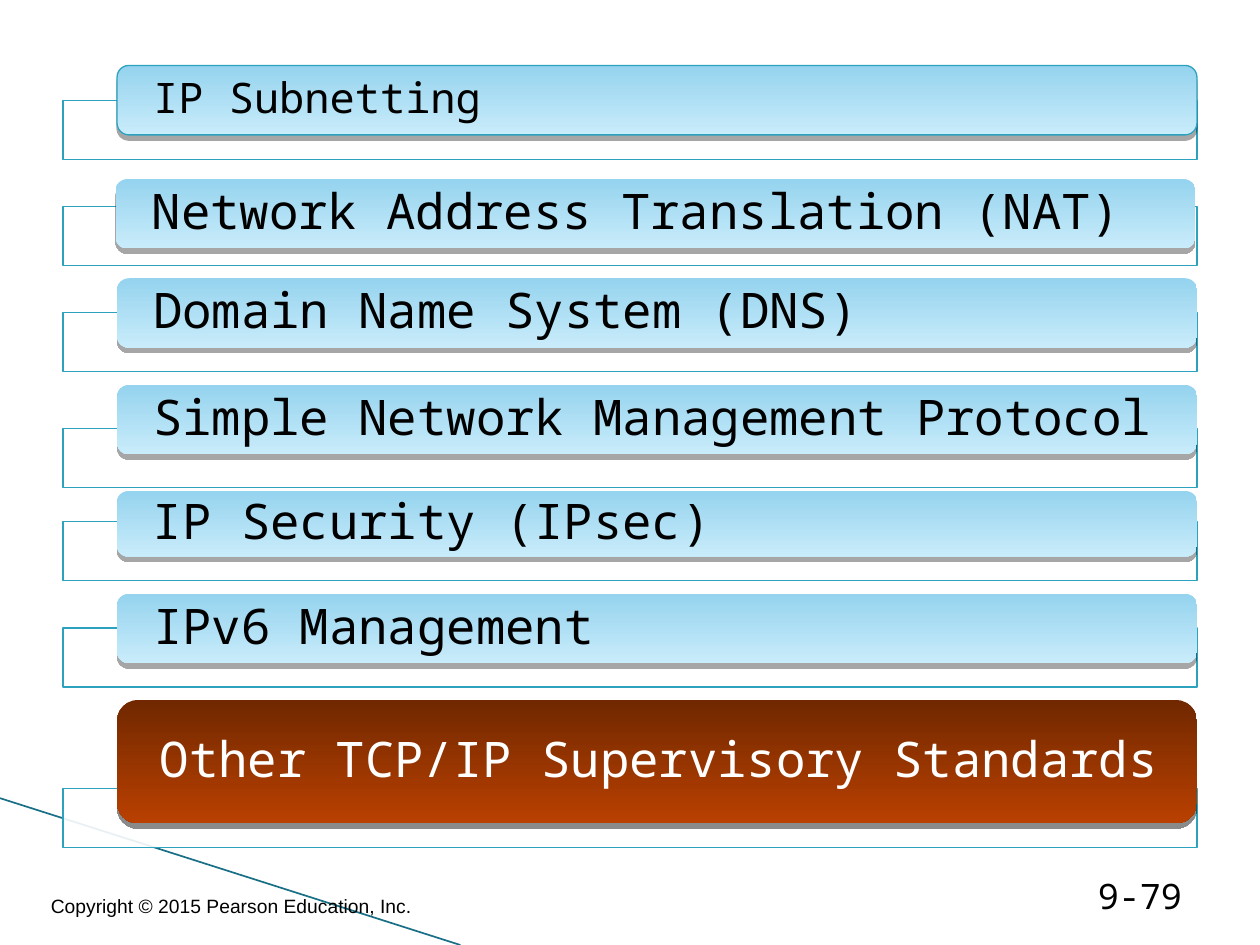
import dataclasses

import pptx
import pptx.dml.color
import pptx.enum.dml
import pptx.enum.shapes
import pptx.enum.text
import pptx.oxml
import pptx.oxml.ns
import pptx.util
from lxml import etree

Cm = pptx.util.Cm
Pt = pptx.util.Pt
RGB = pptx.dml.color.RGBColor.from_string
qn = pptx.oxml.ns.qn
Shape = pptx.enum.shapes.MSO_SHAPE
Anchor = pptx.enum.text.MSO_ANCHOR
Align = pptx.enum.text.PP_ALIGN


@dataclasses.dataclass(frozen=True)
class Theme:
    black: str = "000000"
    white: str = "FFFFFF"
    outline: str = "2DA2BF"
    diagonal: str = "196F85"
    topic: tuple = ("95D3EE", "C9ECFB")
    current: tuple = ("712800", "B94000")
    mono: str = "Noto Sans Mono"
    sans: str = "Arial"
    small_topic: int = 24
    large_topic: int = 28
    number: int = 20
    copyright: int = 11


theme = Theme()


def write(box, text, font, size, color, anchor, align):
    frame = box.text_frame
    frame.text = text
    frame.word_wrap = True
    frame.vertical_anchor = anchor
    para = frame.paragraphs[0]
    para.alignment = align
    span = para.runs[0]
    span.font.name = font
    span.font.size = Pt(size)
    span.font.color.rgb = RGB(color)
    return para


def add_alpha(color_element, percent):
    etree.SubElement(color_element, qn("a:alpha"), val=str(percent * 1000))


deck = pptx.Presentation()
deck.slide_width = Cm(25.4)
deck.slide_height = Cm(19.05)
page = deck.slides.add_slide(deck.slide_layouts[6])

diagonal = page.shapes.add_connector(
    pptx.enum.shapes.MSO_CONNECTOR.STRAIGHT, Cm(0), Cm(16.09), Cm(9.28), Cm(19.05)
)
diagonal.line.color.rgb = RGB(theme.diagonal)
diagonal.line.width = Pt(0.96)
etree.SubElement(diagonal._element.spPr, qn("a:effectLst"))

topics = [
    ("IP Subnetting", 2.03, 2.36, 1.32, 1.4),
    ("Network Address Translation (NAT)", 4.17, 2.33, 3.61, 1.4),
    ("Domain Name System (DNS)", 6.3, 2.36, 5.61, 1.4),
    ("Simple Network Management Protocol", 8.64, 2.36, 7.76, 1.4),
    ("IP Security (IPsec)", 10.52, 2.36, 9.9, 1.32),
    ("IPv6 Management", 12.66, 2.36, 11.97, 1.4),
    ("Other TCP/IP Supervisory Standards", 15.9, 2.36, 14.11, 2.49),
]

for index, (text, frame_top, left, top, height) in enumerate(topics):
    first = index == 0
    current = index == len(topics) - 1

    frame = page.shapes.add_shape(
        Shape.RECTANGLE, Cm(1.27), Cm(frame_top), Cm(22.86), Cm(1.19)
    )
    frame.shadow.inherit = False
    frame.fill.solid()
    frame.fill.fore_color.rgb = RGB(theme.white)
    add_alpha(frame._element.spPr.find(qn("a:solidFill"))[0], 90)
    frame.line.color.rgb = RGB(theme.outline)
    frame.line.width = Pt(0.75)

    label = page.shapes.add_shape(
        Shape.ROUNDED_RECTANGLE, Cm(left), Cm(top), Cm(21.77), Cm(height)
    )
    label.adjustments[0] = 0.17
    label.fill.gradient()
    label.fill.gradient_angle = 270
    colors = theme.current if current else theme.topic
    for stop, position, color in zip(label.fill.gradient_stops, (0, 1), colors):
        stop.position = position
        stop.color.rgb = RGB(color)
    if first:
        label.line.color.rgb = RGB(theme.outline)
        label.line.width = Pt(0.75)
    else:
        label.line.fill.background()

    label.shadow.inherit = False
    shadow = etree.SubElement(
        label._element.spPr.find(qn("a:effectLst")), qn("a:outerShdw"),
        blurRad="0", dist=str(Pt(3)), dir="5400000", rotWithShape="0",
    )
    shade = etree.SubElement(shadow, qn("a:srgbClr"), val=theme.black)
    add_alpha(shade, 45 if current else 35)

    size = theme.small_topic if first else theme.large_topic
    color = theme.white if current else theme.black
    para = write(label, text, theme.mono, size, color, Anchor.MIDDLE, Align.LEFT)
    para.line_spacing = 0.9
    para.space_after = Pt(size * 0.35)
    label.text_frame.margin_left = Cm(0.74 if current else 0.66)
    label.text_frame.margin_right = Cm(0.61)
    label.text_frame.margin_top = Cm(0.13 if current else 0.08)
    label.text_frame.margin_bottom = label.text_frame.margin_top

number = page.shapes.add_textbox(Cm(21.79), Cm(17.58), Cm(2.29), Cm(1.02))
write(number, "9-79", theme.mono, theme.number, theme.black, Anchor.BOTTOM, Align.RIGHT)

notice = page.shapes.add_textbox(Cm(0.64), Cm(17.78), Cm(8.05), Cm(0.84))
write(notice, "Copyright © 2015 Pearson Education, Inc.", theme.sans, theme.copyright,
      theme.black, Anchor.BOTTOM, Align.CENTER)

deck.save("out.pptx")
